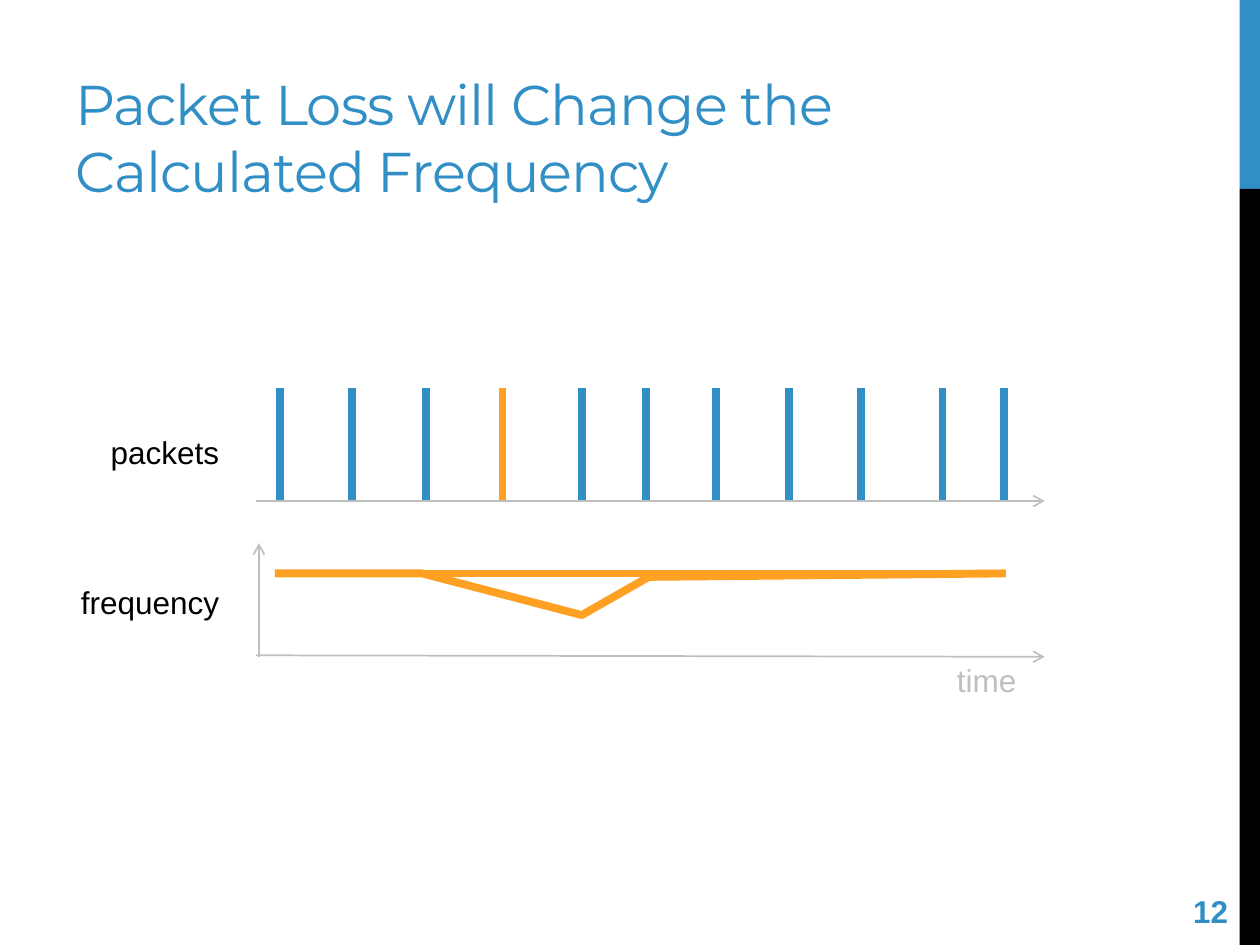
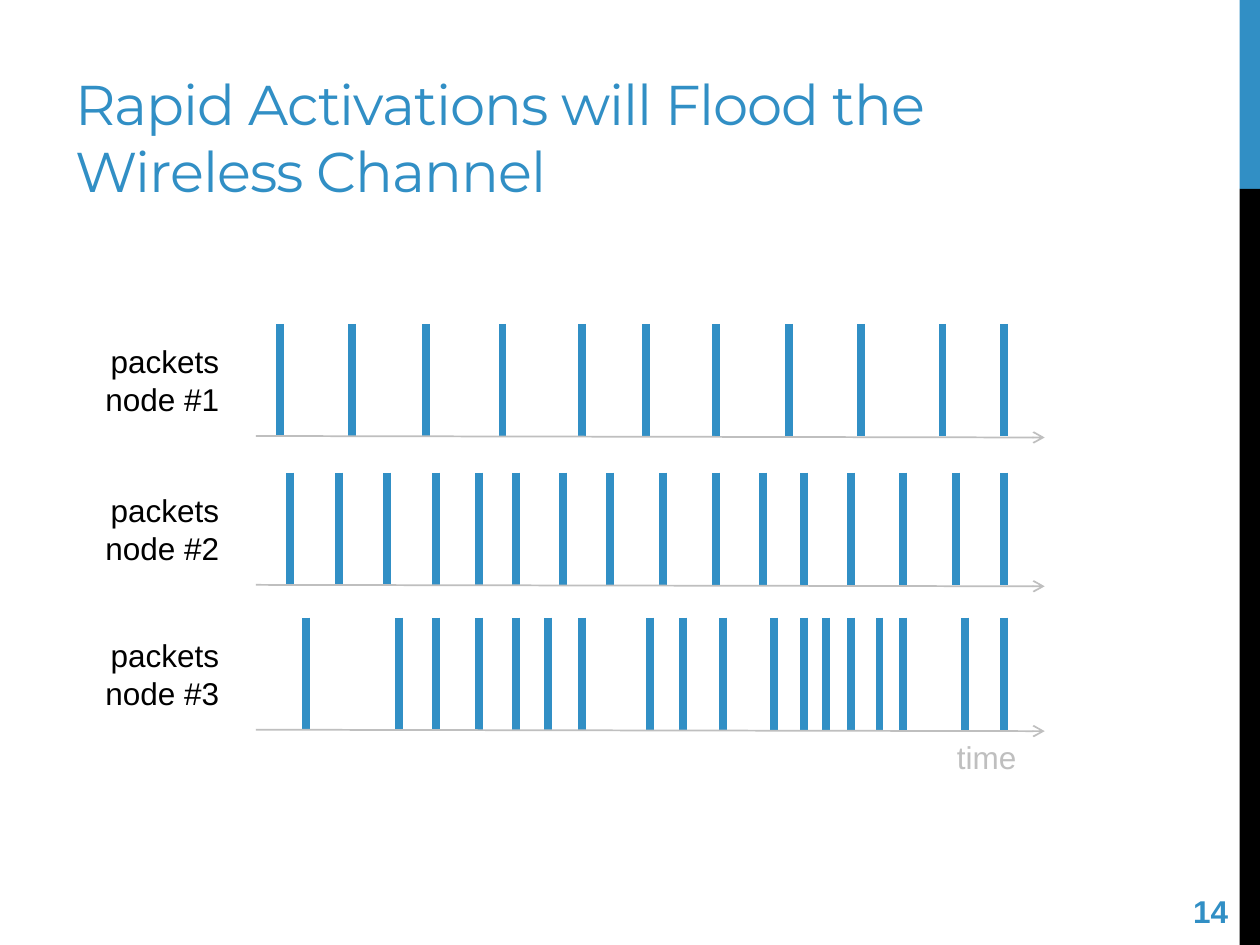
from lxml.etree import SubElement
from pptx import Presentation
from pptx.dml.color import RGBColor
from pptx.enum.shapes import MSO_CONNECTOR, MSO_SHAPE
from pptx.enum.text import MSO_ANCHOR, PP_ALIGN
from pptx.oxml.ns import qn
from pptx.util import Cm, Pt

BLUE = RGBColor(0x31, 0x8F, 0xC5)
ORANGE = RGBColor(0xFE, 0xA0, 0x22)
BLACK = RGBColor(0, 0, 0)
GREY = RGBColor(0xBF, 0xBF, 0xBF)

WIDTH, HEIGHT = 25.4, 19.05
BAND_LEFT, BAND_SPLIT = 24.99, 3.81
TICK = 2.26
THICK, THIN = 4.5, 1
AXIS_LEFT, AXIS_RIGHT = 5.16, 21.06

# Packet times as positions along the axis, in cm
STEADY = [5.64, 7.09, 8.59, 10.13, 11.73, 13.03, 14.43, 15.9, 17.35, 19, 20.24]
FASTER = [5.84, 6.83, 7.8, 8.79, 9.65, 10.41, 11.35, 12.29, 13.36, 14.43,
          15.39, 16.21, 17.15, 18.21, 19.28, 20.24]
BURSTS = [6.17, 8.05, 8.79, 9.65, 10.41, 11.05, 11.73, 13.11, 13.77, 14.58,
          15.6, 16.21, 16.66, 17.15, 17.73, 18.21, 19.46, 20.24]
LOST = STEADY[3]


def add_text(slide, text, left, top, width, height, color, size=18,
             font="Arial", bold=False, align=PP_ALIGN.RIGHT,
             anchor=MSO_ANCHOR.TOP):
    box = slide.shapes.add_textbox(Cm(left), Cm(top), Cm(width), Cm(height))
    frame = box.text_frame
    frame.word_wrap = True
    frame.vertical_anchor = anchor
    para = frame.paragraphs[0]
    para.text = text
    para.alignment = align
    for run in para.runs:
        run.font.name = font
        run.font.size = Pt(size)
        run.font.bold = bold
        run.font.color.rgb = color
    return para


def add_band(slide, top, height, color):
    band = slide.shapes.add_shape(MSO_SHAPE.RECTANGLE, Cm(BAND_LEFT), Cm(top),
                                  Cm(WIDTH - BAND_LEFT), Cm(height))
    band.shadow.inherit = False
    band.fill.solid()
    band.fill.fore_color.rgb = color
    band.line.fill.background()


def add_page(deck, title, number):
    """Add a slide with the side bands, title and page number."""
    slide = deck.slides.add_slide(deck.slide_layouts[6])
    add_band(slide, 0, BAND_SPLIT, BLUE)
    add_band(slide, BAND_SPLIT, HEIGHT - BAND_SPLIT, BLACK)
    para = add_text(slide, title, 1.27, 0.43, 21.16, 3.81, BLUE, size=32,
                    font="Montserrat", align=PP_ALIGN.LEFT,
                    anchor=MSO_ANCHOR.BOTTOM)
    para.runs[0].font._element.set("spc", "-60")
    add_text(slide, number, 21.56, 17.86, 3.45, 1.02, BLUE, bold=True)
    return slide


def add_line(slide, start, end, color, width, arrow=False):
    line = slide.shapes.add_connector(MSO_CONNECTOR.STRAIGHT,
                                      Cm(start[0]), Cm(start[1]),
                                      Cm(end[0]), Cm(end[1]))
    line.line.color.rgb = color
    line.line.width = Pt(width)
    if arrow:
        SubElement(line.line._get_or_add_ln(), qn("a:tailEnd"), type="arrow")
    SubElement(line._element.spPr, qn("a:effectLst"))


def add_axis(slide, top, drop=0.03):
    add_line(slide, (AXIS_LEFT, top), (AXIS_RIGHT, top + drop), GREY, THIN,
             arrow=True)


def add_train(slide, top, times, lost=None):
    """Draw one upright tick per packet, the lost one in orange."""
    for time in times:
        color = ORANGE if time == lost else BLUE
        add_line(slide, (time, top), (time, top + TICK), color, THICK)


def add_label(slide, text, top, height):
    add_text(slide, text, 0.81, top, 3.86, height, BLACK,
             anchor=MSO_ANCHOR.MIDDLE)


def add_time(slide, top):
    add_text(slide, "time", 17.34, top, 3.4, 1.02, GREY)


def add_curve(slide, points):
    """Draw an open orange line through the points."""
    spots = [(Cm(x), Cm(y)) for x, y in points]
    pen = slide.shapes.build_freeform(*spots[0])
    pen.add_line_segments(spots[1:], close=False)
    curve = pen.convert_to_shape()
    curve.shadow.inherit = False
    curve.fill.background()
    curve.line.color.rgb = ORANGE
    curve.line.width = Pt(THICK)


def draw_loss(deck):
    slide = add_page(
        deck, "Packet Loss will Change the Calculated Frequency", "12")
    add_time(slide, 13.21)
    add_train(slide, 7.83, STEADY, LOST)
    add_label(slide, "packets", 8.61, 1.02)
    add_label(slide, "frequency", 11.63, 1.02)
    first, last = (5.54, 11.56), (20.27, 11.56)
    add_curve(slide, [first, (8.51, 11.56), (11.73, 12.4), (13.08, 11.63),
                      last])
    add_line(slide, first, last, ORANGE, THICK)
    add_axis(slide, 13.21)
    add_line(slide, (5.22, 13.24), (5.22, 10.95), GREY, THIN, arrow=True)
    add_axis(slide, 10.1, drop=0)


def draw_flood(deck):
    slide = add_page(
        deck, "Rapid Activations will Flood the Wireless Channel", "14")
    nodes = [(6.53, STEADY), (9.53, FASTER), (12.45, BURSTS)]
    for number, (top, times) in enumerate(nodes, 1):
        add_train(slide, top, times)
        add_label(slide, f"packets\nnode #{number}", top, TICK)
        add_axis(slide, top + TICK)
    add_time(slide, 14.76)


def main():
    deck = Presentation()
    deck.slide_width, deck.slide_height = Cm(WIDTH), Cm(HEIGHT)
    draw_loss(deck)
    draw_flood(deck)
    deck.save("out.pptx")


if __name__ == "__main__":
    main()
